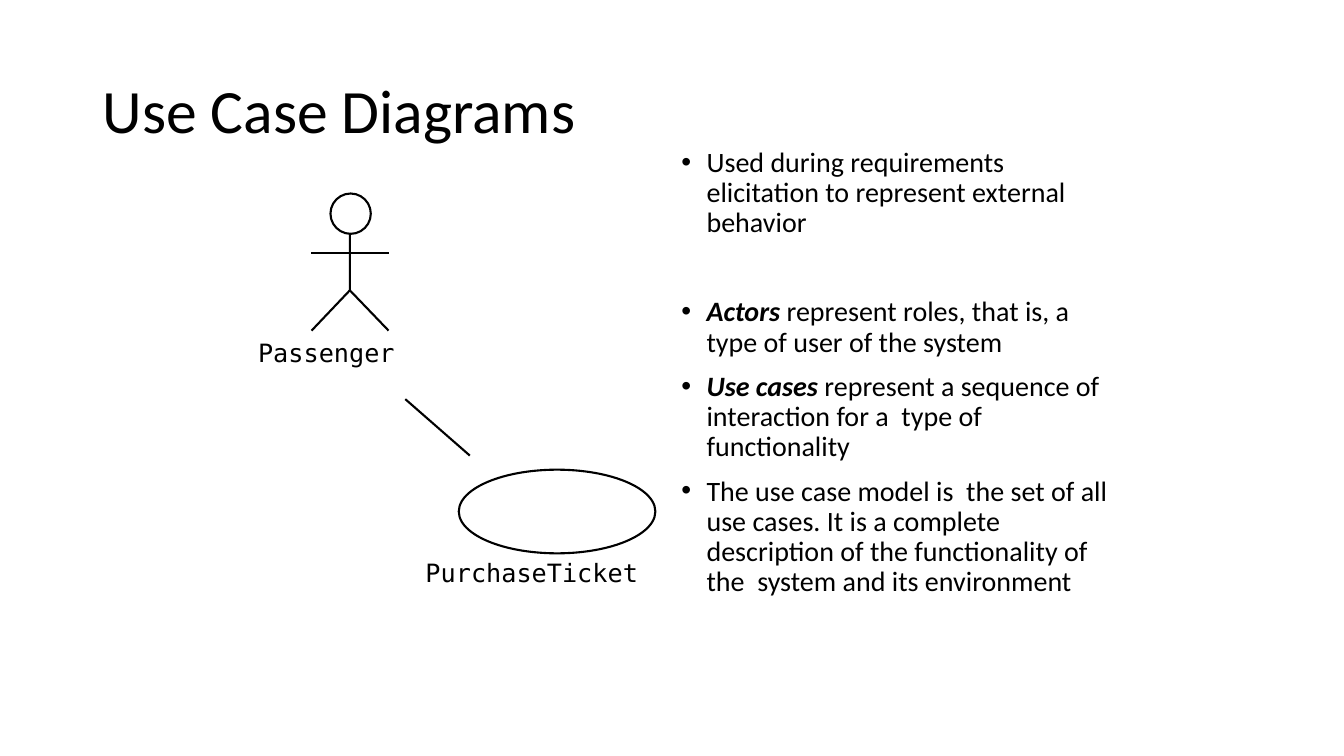
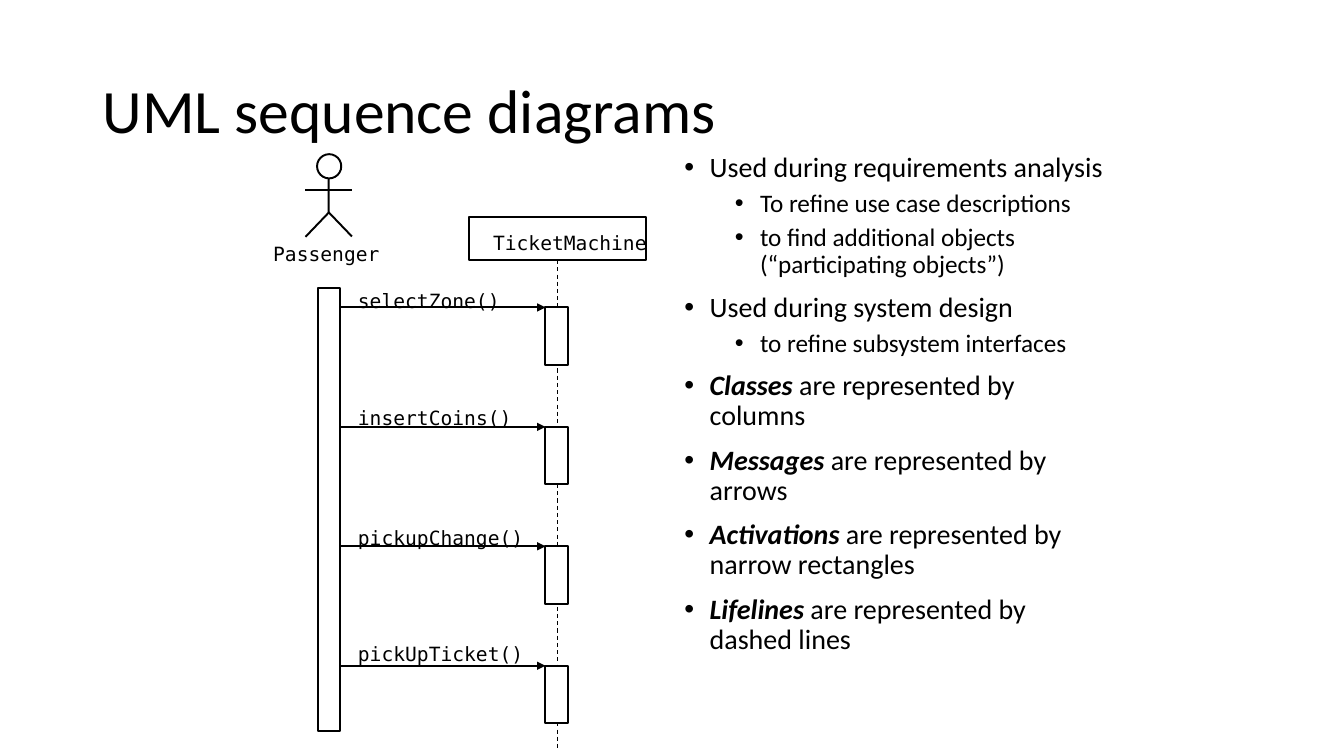
"""Build two slides that introduce UML use case and sequence diagrams."""
import pptx
import pptx.util
import pptx.dml.color
import pptx.enum.dml
import pptx.enum.shapes
import pptx.enum.text
import pptx.oxml.ns
import lxml.etree

PX = 9144
SLIDE_SIZE = (1333, 750)
COLOURS = {"ink": "000000", "paper": "FFFFFF"}
FONTS = {"text": "Calibri", "code": "DejaVu Sans Mono"}
TITLE_BOX = (92, 40, 1150, 145)
LEVELS = [
    {"size": 20, "before": 10, "margin": 25},
    {"size": 18, "before": 5, "margin": 75},
]
BULLET_INDENT = -25
EXTRA_GAP = 32

USE_CASE = {
    "title": "Use Case Diagrams",
    "box": (666, 142, 443, 538),
    "bullets": [
        {"text": "Used during requirements elicitation to represent external behavior"},
        {"term": "Actors", "text": " represent roles, that is, a type of user of the system",
         "gap": EXTRA_GAP},
        {"term": "Use cases",
         "text": " represent a sequence of interaction for a  type of functionality"},
        {"text": "The use case model is  the set of all use cases. It is a complete "
                 "description of the functionality of the  system and its environment"},
    ],
}
SEQUENCE = {
    "title": "UML sequence diagrams",
    "box": (669, 147, 443, 525),
    "bullets": [
        {"text": "Used during requirements analysis"},
        {"text": "To refine use case descriptions", "level": 1},
        {"text": "to find additional objects (“participating objects”)", "level": 1},
        {"text": "Used during system design"},
        {"text": "to refine subsystem interfaces", "level": 1},
        {"term": "Classes", "text": " are represented by columns"},
        {"term": "Messages", "text": " are represented by arrows"},
        {"term": "Activations", "text": " are represented by narrow rectangles"},
        {"term": "Lifelines", "text": " are represented by dashed lines"},
    ],
}
MESSAGES = [("selectZone()", 287), ("insertCoins()", 403),
            ("pickupChange()", 522), ("pickUpTicket()", 637)]
FIRST_MESSAGE, MESSAGE_PITCH = 305, 118.5
ACTIVATION_SIZE = (22, 57)
ACTOR_BAR = (315, 286, 22, 439)
LIFELINE_X = 553


def px(*lengths):
    return [pptx.util.Emu(round(length * PX)) for length in lengths]


def rgb(name):
    return pptx.dml.color.RGBColor.from_string(COLOURS[name])


def set_values(target, values):
    for name, value in values.items():
        setattr(target, name, value)


def add_run(paragraph, text, size, font="text", **values):
    run = paragraph.add_run()
    run.text = text
    set_values(run.font, {"name": FONTS[font], "size": pptx.util.Pt(size), **values})
    run.font.color.rgb = rgb("ink")


def add_text_frame(slide, box, **values):
    frame = slide.shapes.add_textbox(*px(*box)).text_frame
    set_values(frame, {"word_wrap": True, **values})
    return frame


def add_label(slide, text, left, top, size):
    box = (left, top, len(text) * size * 0.84, size * 1.7)
    insets = dict.fromkeys(("margin_left", "margin_top", "margin_right", "margin_bottom"), 0)
    frame = add_text_frame(slide, box, **insets)
    frame.word_wrap = False
    add_run(frame.paragraphs[0], text, size, "code")


def add_bullets(slide, box, bullets):
    frame = add_text_frame(slide, box)
    for index, bullet in enumerate(bullets):
        paragraph = frame.paragraphs[0] if index == 0 else frame.add_paragraph()
        level = LEVELS[bullet.get("level", 0)]
        set_values(paragraph, {
            "level": bullet.get("level", 0),
            "line_spacing": 0.9,
            "space_before": pptx.util.Pt(level["before"] + bullet.get("gap", 0)),
        })
        properties = paragraph._p.get_or_add_pPr()
        properties.set("marL", str(level["margin"] * PX))
        properties.set("indent", str(BULLET_INDENT * PX))
        font = lxml.etree.SubElement(properties, pptx.oxml.ns.qn("a:buFont"))
        font.set("typeface", "Arial")
        mark = lxml.etree.SubElement(properties, pptx.oxml.ns.qn("a:buChar"))
        mark.set("char", "•")
        if "term" in bullet:
            add_run(paragraph, bullet["term"], level["size"], bold=True, italic=True)
        add_run(paragraph, bullet["text"], level["size"])


def style_shape(shape, weight, fill=None):
    shape.shadow.inherit = False
    if fill:
        shape.fill.solid()
        shape.fill.fore_color.rgb = rgb(fill)
    else:
        shape.fill.background()
    shape.line.color.rgb = rgb("ink")
    shape.line.width = pptx.util.Pt(weight)


def add_outline(slide, kind, box, weight, fill=None):
    preset = getattr(pptx.enum.shapes.MSO_SHAPE, kind)
    style_shape(slide.shapes.add_shape(preset, *px(*box)), weight, fill)


def add_line(slide, start, end, weight, arrow=False, dashed=False):
    straight = pptx.enum.shapes.MSO_CONNECTOR.STRAIGHT
    connector = slide.shapes.add_connector(straight, *px(*start, *end))
    connector.line.color.rgb = rgb("ink")
    connector.line.width = pptx.util.Pt(weight)
    if dashed:
        connector.line.dash_style = pptx.enum.dml.MSO_LINE.DASH
    if arrow:
        line = connector.line._get_or_add_ln()
        lxml.etree.SubElement(line, pptx.oxml.ns.qn("a:tailEnd")).set("type", "triangle")
    lxml.etree.SubElement(connector._element.spPr, pptx.oxml.ns.qn("a:effectLst"))


def add_actor(slide, x, top, head, weight):
    neck, arms, hip, feet = [top + head * part for part in (0.7, 1.48, 2.4, 3.4)]
    left, right = x - 0.96 * head, x + 0.96 * head
    builder = slide.shapes.build_freeform(x, neck, scale=PX)
    builder.add_line_segments([(x, hip), (left, feet)], close=False)
    style_shape(builder.convert_to_shape(), weight)
    add_line(slide, (x, hip), (right, feet), weight)
    add_line(slide, (left, arms), (right, arms), weight)
    add_outline(slide, "OVAL", (x - 0.48 * head, top, head, head), weight, "paper")


def add_content_slide(presentation, content):
    slide = presentation.slides.add_slide(presentation.slide_layouts[6])
    frame = add_text_frame(slide, TITLE_BOX,
                           vertical_anchor=pptx.enum.text.MSO_ANCHOR.MIDDLE)
    frame.paragraphs[0].line_spacing = 0.9
    add_run(frame.paragraphs[0], content["title"], 44)
    add_bullets(slide, content["box"], content["bullets"])
    return slide


def draw_use_case(slide):
    weight = 1.5
    add_actor(slide, 347, 192, 40, weight)
    add_label(slide, "Passenger", 256, 335, 18)
    add_outline(slide, "OVAL", (455, 466, 195, 83), weight)
    add_label(slide, "PurchaseTicket", 422, 553, 18)
    add_line(slide, (402, 396), (466, 452), weight)


def draw_sequence(slide):
    weight = 1.38
    add_actor(slide, 326, 153, 24, weight)
    add_label(slide, "Passenger", 271, 240, 14)
    add_outline(slide, "RECTANGLE", ACTOR_BAR, weight, "paper")
    add_outline(slide, "RECTANGLE", (465, 215, 176, 43), weight)
    add_label(slide, "TicketMachine", 489, 229, 14)
    add_line(slide, (LIFELINE_X, 258), (LIFELINE_X, 742), 0.75, dashed=True)
    bar_right = ACTOR_BAR[0] + ACTOR_BAR[2]
    activation_left = LIFELINE_X - 12
    for index, (text, label_top) in enumerate(MESSAGES):
        top = FIRST_MESSAGE + index * MESSAGE_PITCH
        add_outline(slide, "RECTANGLE", (activation_left, top, *ACTIVATION_SIZE),
                    weight, "paper")
        add_line(slide, (bar_right, top), (activation_left, top), weight, arrow=True)
        add_label(slide, text, 355, label_top, 14)


def main():
    presentation = pptx.Presentation()
    presentation.slide_width, presentation.slide_height = px(*SLIDE_SIZE)
    for content, draw in ((USE_CASE, draw_use_case), (SEQUENCE, draw_sequence)):
        draw(add_content_slide(presentation, content))
    presentation.save("out.pptx")


if __name__ == "__main__":
    main()
